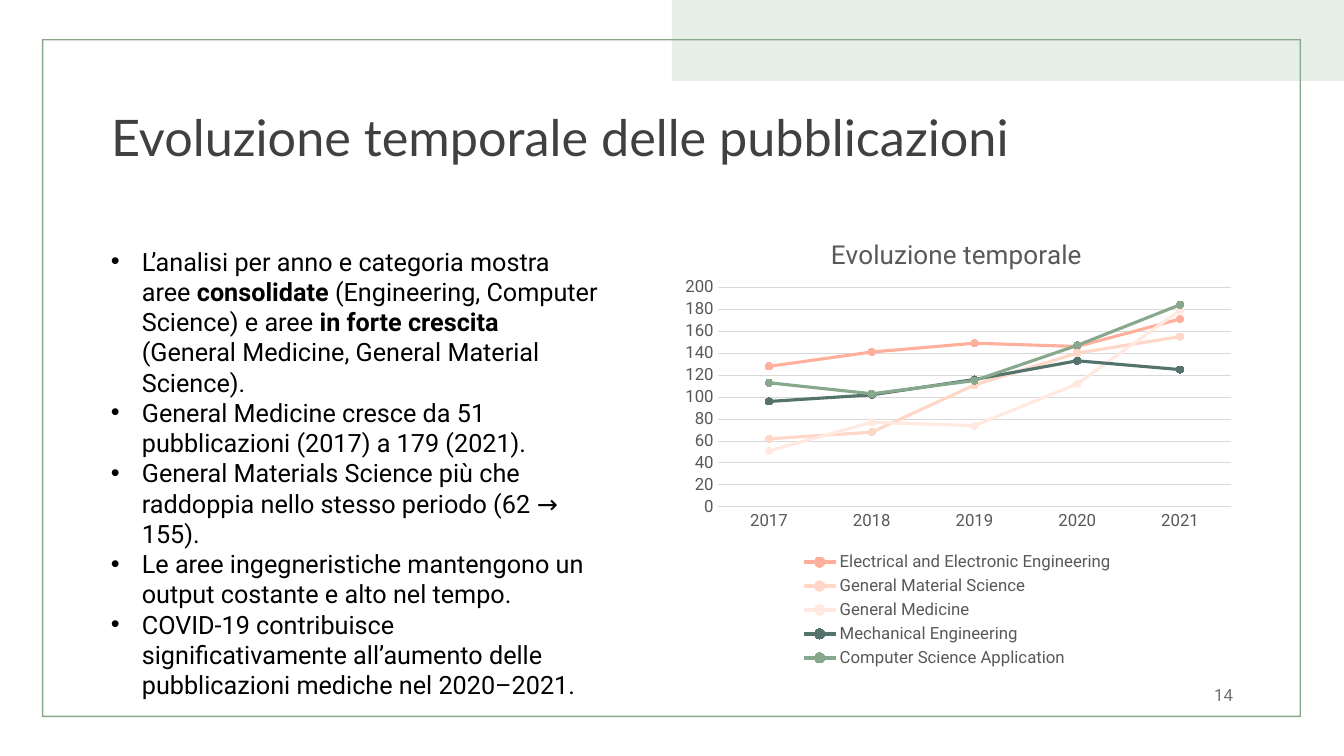
from lxml.etree import SubElement
from pptx import Presentation
from pptx.chart.data import CategoryChartData
from pptx.dml.color import RGBColor
from pptx.enum.chart import XL_CHART_TYPE, XL_LEGEND_POSITION, XL_MARKER_STYLE, XL_TICK_MARK
from pptx.enum.shapes import MSO_SHAPE
from pptx.enum.text import MSO_ANCHOR, MSO_AUTO_SIZE, PP_ALIGN
from pptx.oxml import parse_xml
from pptx.oxml.ns import nsdecls, qn
from pptx.util import Emu, Pt

SLIDE_WIDTH, SLIDE_HEIGHT = 1344, 756
EMU_PER_PX = 12192000 / SLIDE_WIDTH

COLORS = {
    "band": "E7EEE8", "sage": "88A88E", "heading": "404040", "body": "000000",
    "number": "767171", "label": "595959", "grid": "D9D9D9",
    "coral": "FFB09D", "peach": "FFD7C7", "blush": "FFE9E0", "pine": "55736D",
}

YEARS = ["2017", "2018", "2019", "2020", "2021"]
PUBLICATIONS = [
    ("Electrical and Electronic Engineering", "coral", (128, 141, 149, 146, 171)),
    ("General Material Science", "peach", (62, 68, 111, 140, 155)),
    ("General Medicine", "blush", (51, 77, 74, 112, 179)),
    ("Mechanical Engineering", "pine", (96, 102, 116, 133, 125)),
    ("Computer Science Application", "sage", (113, 103, 115, 147, 184)),
]

# Each finding is a list of runs: (text, bold)
FINDINGS = [
    [("L’analisi per anno e categoria mostra aree ", False),
     ("consolidate", True),
     (" (Engineering, Computer Science) e aree ", False),
     ("in forte crescita", True),
     (" (General Medicine, General Material Science).", False)],
    [("General Medicine cresce da 51 pubblicazioni (2017) a 179 (2021).", False)],
    [("General Materials Science più che raddoppia nello stesso periodo (62 → 155).", False)],
    [("Le aree ingegneristiche mantengono un output costante e alto nel tempo.", False)],
    [("COVID-19 contribuisce significativamente all’aumento delle pubblicazioni "
      "mediche nel 2020–2021.", False)],
]


def px(length):
    return Emu(round(length * EMU_PER_PX))


def color(name):
    return RGBColor.from_string(COLORS[name])


def set_layout(parent, index, **fractions):
    """Place a chart part by fractions of the chart area."""
    for automatic in parent.findall(qn("c:layout")):
        parent.remove(automatic)
    layout = parse_xml(f"<c:layout {nsdecls('c')}><c:manualLayout/></c:layout>")
    manual = layout[0]
    if "w" in fractions:
        SubElement(manual, qn("c:layoutTarget")).set("val", "inner")
    for side in ("x", "y"):
        SubElement(manual, qn(f"c:{side}Mode")).set("val", "edge")
    for key, value in fractions.items():
        SubElement(manual, qn(f"c:{key}")).set("val", str(value))
    parent.insert(index, layout)


class SlideBuilder:
    heading_font = "Lato"
    body_font = "Roboto"

    def __init__(self, presentation):
        self.slide = presentation.slides.add_slide(presentation.slide_layouts[5])

    def style(self, font, size, color_name, name=None, bold=False):
        font.name = name or self.body_font
        font.size = Pt(size)
        font.bold = bold
        font.color.rgb = color(color_name)

    def run(self, paragraph, text, size, color_name, name=None, bold=False):
        run = paragraph.add_run()
        run.text = text
        self.style(run.font, size, color_name, name, bold)

    def shape(self, preset, box, fill):
        shape = self.slide.shapes.add_shape(preset, *map(px, box))
        shape.shadow.inherit = False
        shape.fill.solid()
        shape.fill.fore_color.rgb = color(fill)
        shape.line.fill.background()
        return shape

    def title(self, box, text):
        title = self.slide.shapes.title
        title.left, title.top, title.width, title.height = map(px, box)
        frame = title.text_frame
        frame.auto_size = MSO_AUTO_SIZE.NONE
        frame.vertical_anchor = MSO_ANCHOR.MIDDLE
        paragraph = frame.paragraphs[0]
        paragraph.alignment = PP_ALIGN.LEFT
        paragraph.line_spacing = 0.9
        self.run(paragraph, text, 36, "heading", self.heading_font)

    def text_frame(self, box):
        frame = self.slide.shapes.add_textbox(*map(px, box)).text_frame
        frame.word_wrap = True
        return frame

    def bullets(self, box, items):
        frame = self.text_frame(box)
        frame.auto_size = MSO_AUTO_SIZE.SHAPE_TO_FIT_TEXT
        for index, runs in enumerate(items):
            paragraph = frame.add_paragraph() if index else frame.paragraphs[0]
            properties = paragraph._p.get_or_add_pPr()
            properties.set("marL", str(px(31)))
            properties.set("indent", str(-px(31)))
            SubElement(properties, qn("a:buFont")).set("typeface", "Arial")
            SubElement(properties, qn("a:buChar")).set("char", "•")
            for text, bold in runs:
                self.run(paragraph, text, 18, "body", bold=bold)

    def page_number(self, box, number):
        frame = self.text_frame(box)
        frame.vertical_anchor = MSO_ANCHOR.MIDDLE
        paragraph = frame.paragraphs[0]
        paragraph.alignment = PP_ALIGN.RIGHT
        self.run(paragraph, number, 12, "number")

    def line_chart(self, box, heading, categories, rows):
        data = CategoryChartData()
        data.categories = categories
        for name, _, values in rows:
            data.add_series(name, values)
        chart = self.slide.shapes.add_chart(
            XL_CHART_TYPE.LINE_MARKERS, *map(px, box), data).chart
        self.style(chart.font, 10, "body")

        chart.has_title = True
        self.run(chart.chart_title.text_frame.paragraphs[0], heading, 18.6, "label")
        chart.chart_title.include_in_layout = False
        set_layout(chart.chart_title._element, 1, x=0.27, y=0.04)
        set_layout(chart._chartSpace.chart.plotArea, 0, x=0.08, y=0.16, w=0.9, h=0.48)

        chart.has_legend = True
        chart.legend.position = XL_LEGEND_POSITION.BOTTOM
        chart.legend.include_in_layout = False
        self.style(chart.legend.font, 12, "label")

        years, counts = chart.category_axis, chart.value_axis
        for axis in (years, counts):
            axis.major_tick_mark = axis.minor_tick_mark = XL_TICK_MARK.NONE
            self.style(axis.tick_labels.font, 12, "label")
        counts.minimum_scale, counts.maximum_scale, counts.major_unit = 0, 200, 20
        counts.format.line.fill.background()
        for line in (years.format.line, counts.major_gridlines.format.line):
            line.color.rgb = color("grid")
            line.width = Pt(0.75)

        chart.plots[0].vary_by_categories = False
        for series, (_, tint, _) in zip(chart.plots[0].series, rows):
            series.smooth = False
            series.format.line.color.rgb = color(tint)
            series.format.line.width = Pt(2.25)
            series.marker.style = XL_MARKER_STYLE.CIRCLE
            series.marker.size = 5
            series.marker.format.fill.solid()
            series.marker.format.fill.fore_color.rgb = color(tint)
            series.marker.format.line.color.rgb = color(tint)


def main():
    presentation = Presentation()
    presentation.slide_width = px(SLIDE_WIDTH)
    presentation.slide_height = px(SLIDE_HEIGHT)

    builder = SlideBuilder(presentation)
    builder.shape(MSO_SHAPE.RECTANGLE, (672, 0, 672, 81), "band")
    border = builder.shape(MSO_SHAPE.FRAME, (42, 39, 1259, 678), "sage")
    border.adjustments[0] = 0.002
    builder.title((101, 67, 1142, 146), "Evoluzione temporale delle pubblicazioni")
    builder.line_chart((672, 214, 571, 458), "Evoluzione temporale", YEARS, PUBLICATIONS)
    builder.page_number((940, 675, 303, 40), "14")
    builder.bullets((101, 241, 507, 407), FINDINGS)
    presentation.save("out.pptx")


if __name__ == "__main__":
    main()
